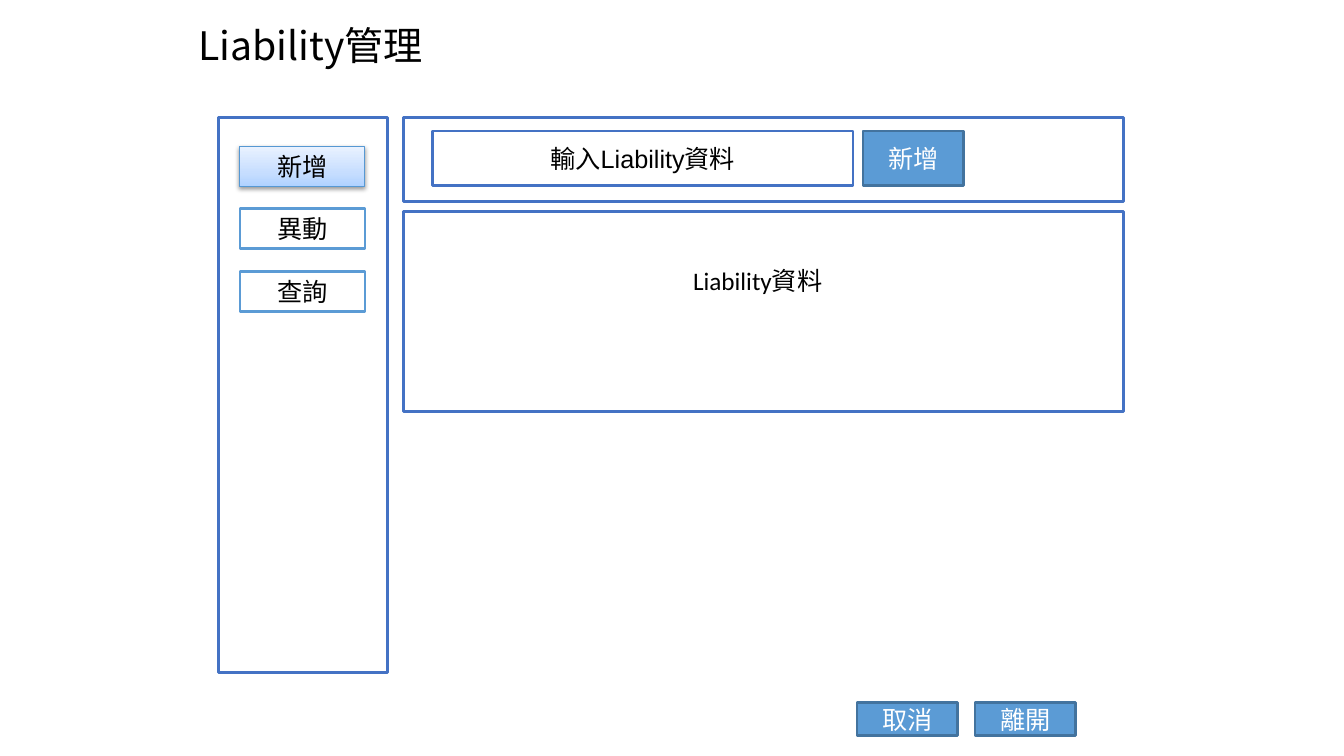
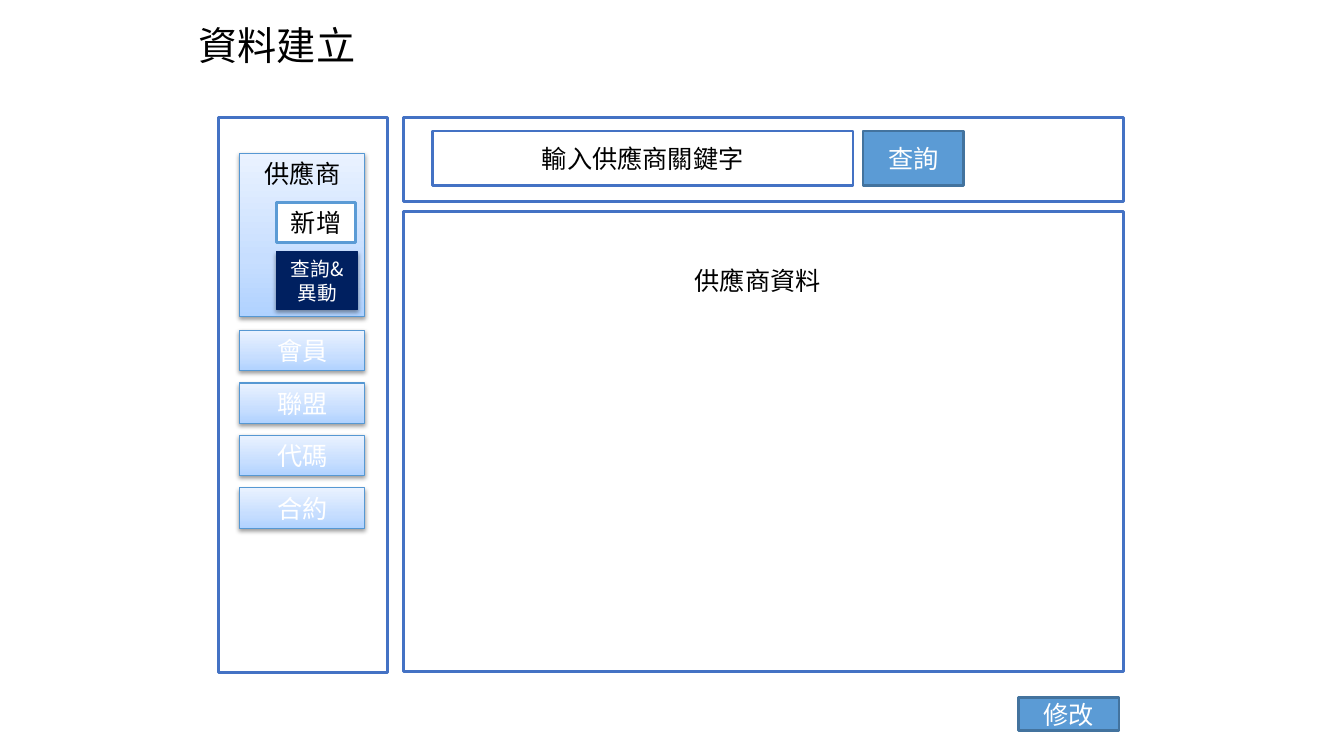
from lxml import etree
from pptx import Presentation
from pptx.dml.color import RGBColor
from pptx.enum.shapes import MSO_SHAPE
from pptx.enum.text import MSO_ANCHOR, MSO_AUTO_SIZE, PP_ALIGN
from pptx.oxml.ns import qn
from pptx.util import Inches, Pt

RECTANGLE = MSO_SHAPE.RECTANGLE
TOP, MIDDLE = MSO_ANCHOR.TOP, MSO_ANCHOR.MIDDLE
LEFT, CENTER = PP_ALIGN.LEFT, PP_ALIGN.CENTER
NO_AUTOFIT = MSO_AUTO_SIZE.NONE
TITLE_ONLY = 5

COLORS = {
    "black": "000000",
    "white": "FFFFFF",
    "frame": "4472C4",
    "action": "5B9BD5",
    "action_edge": "43739E",
    "menu_edge": "5698D3",
    "navy": "002060",
}
GLOSS = [(0, "B0D2FF"), (35, "C7DEFF"), (100, "EAF2FF")]
CJK = "Noto Sans CJK SC"

MENU_LEFT, MENU_WIDTH, ITEM_HEIGHT = 2.38, 1.24, 0.4
CONTENT_LEFT, CONTENT_WIDTH = 4, 7.14


class Screen:
    def __init__(self, prs):
        self.prs = prs
        self.slide = None

    def rgb(self, name):
        return RGBColor.from_string(COLORS[name])

    def start(self, title):
        self.slide = self.prs.slides.add_slide(self.prs.slide_layouts[TITLE_ONLY])
        heading = self.slide.shapes.title
        heading.left, heading.top = Inches(1.92), Inches(0.17)
        heading.width, heading.height = Inches(9), Inches(0.6)
        self.set_text(heading, title, size=28, align=LEFT, inset=0.05)
        heading.text_frame.paragraphs[0].line_spacing = 0.9

    def set_text(self, shape, text, color="black", size=18, font=CJK,
                 align=CENTER, anchor=MIDDLE, inset=None):
        frame = shape.text_frame
        frame.text = text
        frame.word_wrap = True
        frame.auto_size = NO_AUTOFIT
        frame.vertical_anchor = anchor
        if inset is not None:
            frame.margin_left = frame.margin_right = Inches(inset)
            frame.margin_top = frame.margin_bottom = Inches(inset)
        paragraph = frame.paragraphs[0]
        paragraph.alignment = align
        for run in paragraph.runs:
            run.font.name = font
            run.font.size = Pt(size)
            run.font.color.rgb = self.rgb(color)
            properties = run.font.fill._xPr
            east_asian = etree.SubElement(properties, qn("a:ea"))
            east_asian.set("typeface", CJK)

    def box(self, left, top, width, height, fill="white", line="frame",
            weight=2, text=None, **style):
        shape = self.slide.shapes.add_shape(
            RECTANGLE, Inches(left), Inches(top), Inches(width), Inches(height))
        shape.shadow.inherit = False
        shape.fill.solid()
        shape.fill.fore_color.rgb = self.rgb(fill)
        shape.line.color.rgb = self.rgb(line)
        shape.line.width = Pt(weight)
        if text:
            self.set_text(shape, text, **style)
        return shape

    def raised(self, *place, **style):
        shape = self.box(*place, weight=0.75, **style)
        effects = shape.element.spPr.find(qn("a:effectLst"))
        shadow = etree.SubElement(
            effects, qn("a:outerShdw"), blurRad="40000", dist="20000",
            dir="5400000", rotWithShape="0")
        tint = etree.SubElement(shadow, qn("a:srgbClr"), val=COLORS["black"])
        etree.SubElement(tint, qn("a:alpha"), val="38000")
        return shape

    def glossy(self, top, text, height=ITEM_HEIGHT, **style):
        shape = self.raised(MENU_LEFT, top, MENU_WIDTH, height,
                            line="menu_edge", text=text, **style)
        shape.fill.gradient()
        shape.fill.gradient_angle = 90
        stops = shape.element.spPr.find(".//" + qn("a:gsLst"))
        for stop in list(stops):
            stops.remove(stop)
        for position, color in GLOSS:
            stop = etree.SubElement(stops, qn("a:gs"), pos=str(position * 1000))
            etree.SubElement(stop, qn("a:srgbClr"), val=color)

    def item(self, left, top, width, text, **style):
        self.box(left, top, width, ITEM_HEIGHT, line="action", text=text, **style)

    def action(self, left, top, text, height=0.33, font=CJK):
        self.box(left, top, 1, height, fill="action", line="action_edge",
                 text=text, color="white", font=font)

    def label(self, left, top, width, height, text, font):
        caption = self.slide.shapes.add_textbox(
            Inches(left), Inches(top), Inches(width), Inches(height))
        self.set_text(caption, text, font=font)

    def layout(self, prompt, action, result, result_height,
               prompt_font=CJK, action_font=CJK, result_font=CJK):
        self.box(2.17, 1.17, 1.67, 5.5)
        self.box(CONTENT_LEFT, 1.17, CONTENT_WIDTH, 0.83)
        self.box(CONTENT_LEFT, 2.1, CONTENT_WIDTH, result_height)
        self.box(4.29, 1.3, 4.17, 0.54, text=prompt, font=prompt_font)
        self.action(8.56, 1.3, action, height=0.54, font=action_font)
        self.label(6.34, 2.58, 2.35, 0.4, result, result_font)


def liability_slide(screen):
    screen.start("Liability管理")
    screen.layout("輸入Liability資料", "新增", "Liability資料", 1.98,
                  prompt_font="Arial", action_font="Roboto", result_font="Calibri")
    screen.glossy(1.45, "新增", font="Calibri")
    for row, name in enumerate(["異動", "查詢"], start=1):
        screen.item(MENU_LEFT, 1.45 + row * 0.62, MENU_WIDTH, name, font="Calibri")
    for column, name in enumerate(["取消", "離開"]):
        screen.action(8.5 + column * 1.17, 6.97, name, font="Roboto")


def supplier_slide(screen):
    screen.start("資料建立")
    screen.layout("輸入供應商關鍵字", "查詢", "供應商資料", 4.56)
    screen.glossy(1.52, "供應商", height=1.62, anchor=TOP)
    screen.item(2.74, 2.01, 0.79, "新增")
    screen.raised(2.74, 2.5, 0.81, 0.57, fill="navy", line="navy",
                  text="查詢&異動", color="white", size=14, anchor=TOP)
    for row, name in enumerate(["會員", "聯盟", "代碼", "合約"]):
        screen.glossy(3.28 + row * 0.52, name, color="white")
    screen.action(10.1, 6.92, "修改")


def main():
    prs = Presentation()
    prs.slide_width, prs.slide_height = Inches(13.33), Inches(7.5)
    screen = Screen(prs)
    liability_slide(screen)
    supplier_slide(screen)
    prs.save("out.pptx")


if __name__ == "__main__":
    main()
